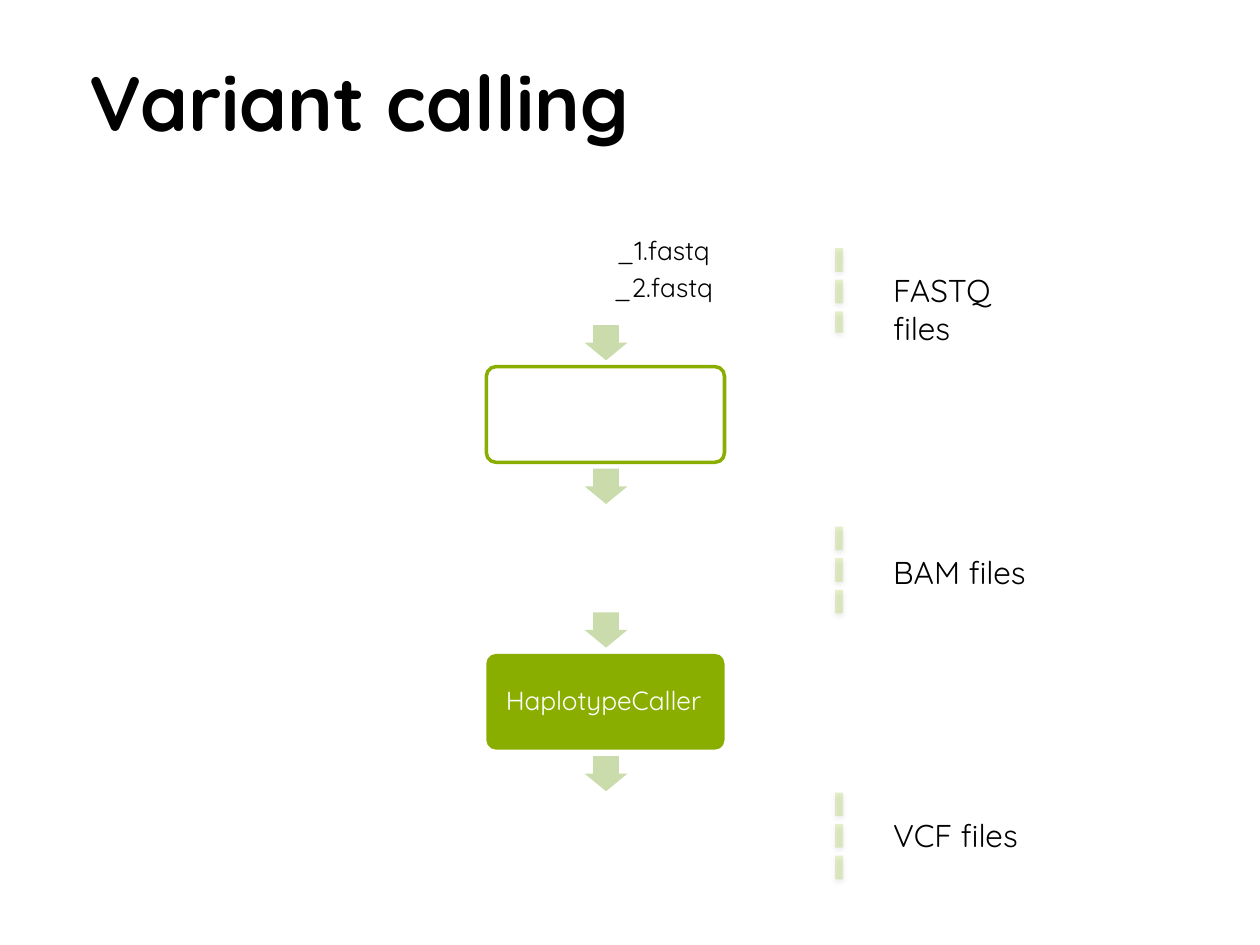
import pptx
import pptx.dml.color
import pptx.enum.dml
import pptx.enum.shapes
import pptx.enum.text
import pptx.oxml
import pptx.util
from pptx.util import Inches

FONT = "Quicksand"
STEP_TOP = 1.77
STEP_GAP = 1.14
SHAPES = pptx.enum.shapes.MSO_SHAPE
ANCHOR = pptx.enum.text.MSO_ANCHOR
ALIGN = pptx.enum.text.PP_ALIGN

# Faded line colour and soft shadow of the dashed dividers
ALPHA = '<a:alpha xmlns:a="http://schemas.openxmlformats.org/drawingml/2006/main" val="20000"/>'
SHADOW = (
    '<a:effectLst xmlns:a="http://schemas.openxmlformats.org/drawingml/2006/main">'
    '<a:outerShdw blurRad="39370" dist="20320" dir="5400000" rotWithShape="0">'
    '<a:srgbClr val="000000"><a:alpha val="38000"/></a:srgbClr>'
    '</a:outerShdw></a:effectLst>'
)


def color(value):
    return pptx.dml.color.RGBColor.from_string(value)


def add_text(page, lines, left, top, width, height, size=18, fill="000000", bold=False,
             align=ALIGN.LEFT, anchor=ANCHOR.TOP, insets=(0.1, 0.05, 0.1, 0.05),
             line_spacing=None, space_after=None):
    """Add a text box with one paragraph per line; insets run left, top, right, bottom."""
    box = page.shapes.add_textbox(Inches(left), Inches(top), Inches(width), Inches(height))
    frame = box.text_frame
    frame.word_wrap = True
    frame.vertical_anchor = anchor
    (frame.margin_left, frame.margin_top,
     frame.margin_right, frame.margin_bottom) = map(Inches, insets)
    for index, text in enumerate(lines):
        para = frame.add_paragraph() if index else frame.paragraphs[0]
        para.alignment = align
        para.line_spacing = line_spacing
        para.space_after = space_after
        span = para.add_run()
        span.text = text
        span.font.name = FONT
        span.font.size = pptx.util.Pt(size)
        span.font.bold = bold
        span.font.color.rgb = color(fill)


def add_step_text(page, lines, step, fill="000000", left_inset=0.06, right_inset=0.06):
    add_text(page, lines, 3.89, STEP_TOP + step * STEP_GAP + 0.02, 1.85, 0.72,
             size=15, fill=fill, align=ALIGN.CENTER, anchor=ANCHOR.MIDDLE,
             insets=(left_inset, 0.06, right_inset, 0.06),
             line_spacing=0.9, space_after=pptx.util.Pt(5))


def add_step_box(page, step, fill=None, line=None):
    box = page.shapes.add_shape(SHAPES.ROUNDED_RECTANGLE, Inches(3.86),
                                Inches(STEP_TOP + step * STEP_GAP), Inches(1.89), Inches(0.76))
    box.adjustments[0] = 0.1
    box.shadow.inherit = False
    if fill:
        box.fill.solid()
        box.fill.fore_color.rgb = color(fill)
    else:
        box.fill.background()
    if line:
        box.line.color.rgb = color(line)
        box.line.width = pptx.util.Pt(2)
    else:
        box.line.fill.background()


def add_step_arrow(page, step):
    arrow = page.shapes.add_shape(SHAPES.RIGHT_ARROW, Inches(4.67),
                                  Inches(STEP_TOP + step * STEP_GAP + 0.78),
                                  Inches(0.28), Inches(0.34))
    arrow.rotation = 90
    arrow.adjustments[0] = 0.6
    arrow.adjustments[1] = 0.5
    arrow.shadow.inherit = False
    arrow.fill.solid()
    arrow.fill.fore_color.rgb = color("CADCAB")
    arrow.line.fill.background()


def add_divider(page, top, bottom):
    divider = page.shapes.add_connector(pptx.enum.shapes.MSO_CONNECTOR.STRAIGHT,
                                        Inches(6.66), Inches(top), Inches(6.66), Inches(bottom))
    divider.line.color.rgb = color("89C000")
    divider.line.width = pptx.util.Pt(4.5)
    divider.line.dash_style = pptx.enum.dml.MSO_LINE.SQUARE_DOT
    properties = divider._element.spPr
    properties.find(".//" + pptx.oxml.ns.qn("a:srgbClr")).append(pptx.oxml.parse_xml(ALPHA))
    properties.append(pptx.oxml.parse_xml(SHADOW))


def main():
    deck = pptx.Presentation()
    deck.slide_width, deck.slide_height = Inches(10), Inches(7.5)
    page = deck.slides.add_slide(deck.slide_layouts[6])

    # Title
    add_text(page, ["Variant calling"], 0.61, 0.39, 6.74, 0.81,
             size=44, bold=True, anchor=ANCHOR.MIDDLE)

    # File types beside their dividers
    for text, top, width, start, end in [
        ("FASTQ files", 2.1, 1.46, 1.97, 2.64),
        ("BAM files", 4.34, 1.28, 4.18, 4.91),
        ("VCF files", 6.43, 1.22, 6.29, 6.98),
    ]:
        add_divider(page, start, end)
        add_text(page, [text], 6.99, top, width, 0.4)

    # Workflow steps, top to bottom
    add_step_text(page, ["_1.fastq", "_2.fastq"], 0, left_inset=0.96)
    add_step_box(page, 1, line="8AAE00")
    add_step_box(page, 3, fill="89AE00")
    add_step_text(page, ["HaplotypeCaller"], 3, fill="FFFFFF", right_inset=0.11)
    for step in range(4):
        add_step_arrow(page, step)

    deck.save("out.pptx")


if __name__ == "__main__":
    main()
